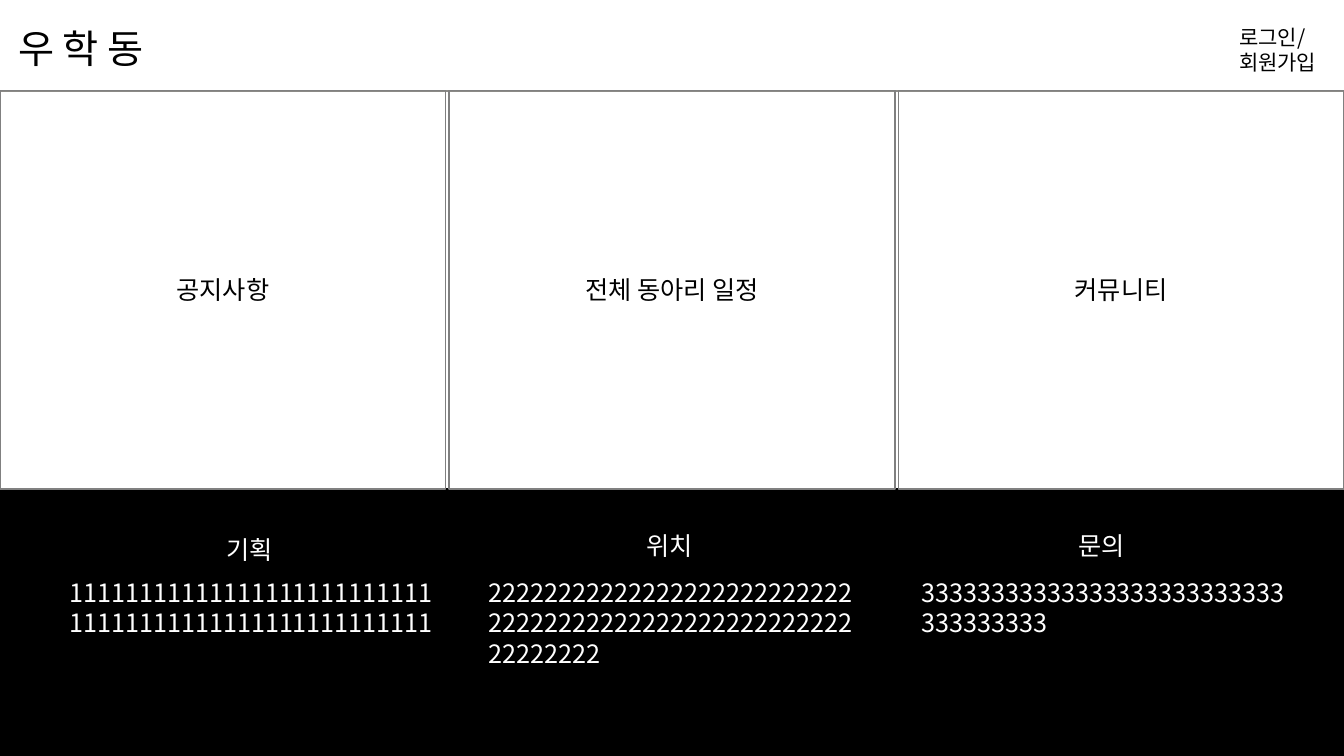
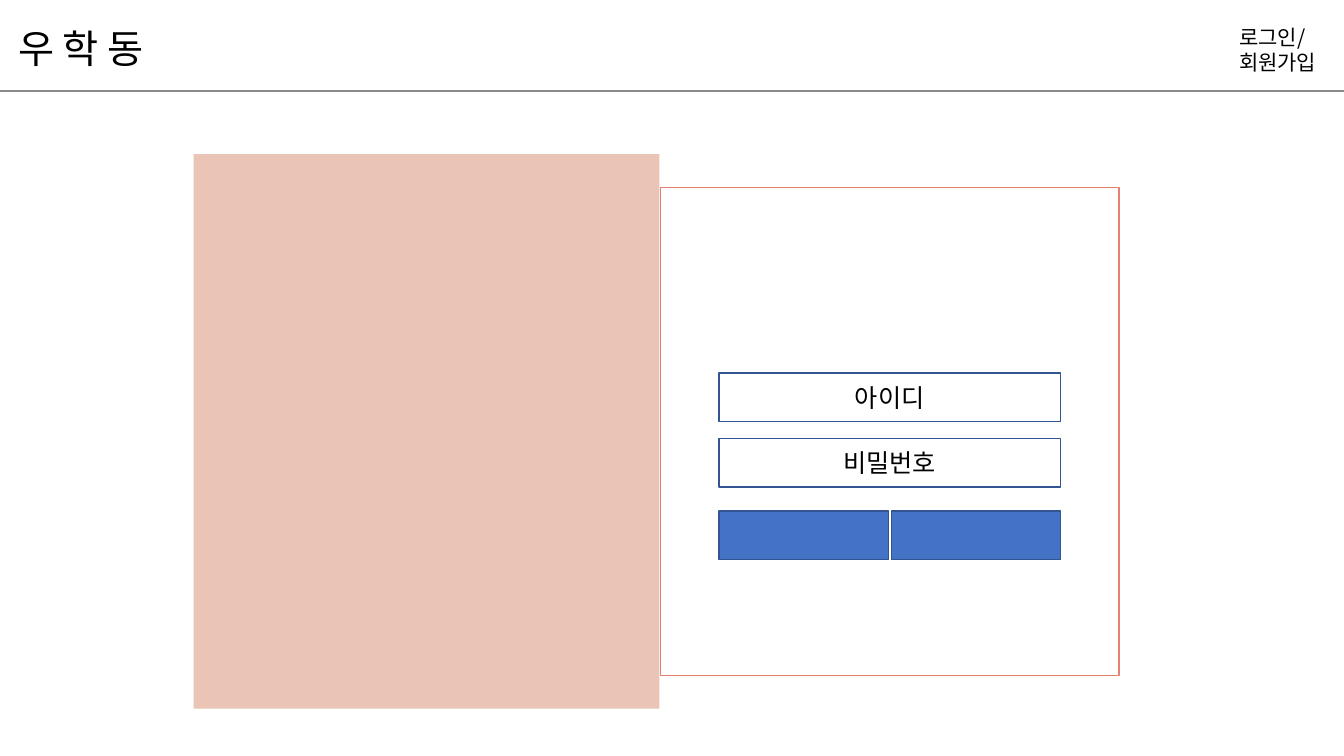
import pptx
import pptx.dml.color
import pptx.enum.shapes
import pptx.enum.text
import pptx.oxml
import pptx.oxml.ns
import pptx.util
from pptx.util import Inches

RGB = pptx.dml.color.RGBColor
ANCHOR = pptx.enum.text.MSO_ANCHOR
ALIGN = pptx.enum.text.PP_ALIGN

BLACK = RGB(0x00, 0x00, 0x00)
WHITE = RGB(0xFF, 0xFF, 0xFF)
PANEL_GREY = RGB(0x80, 0x80, 0x80)
RULE_GREY = RGB(0x8B, 0x8A, 0x86)
PEACH = RGB(0xEA, 0xC5, 0xB5)
CORAL = RGB(0xE6, 0x80, 0x73)
BLUE = RGB(0x44, 0x72, 0xC4)
NAVY = RGB(0x32, 0x54, 0x91)

FONT = "Noto Sans CJK KR"
SLIDE_W, SLIDE_H = 13.33, 7.5
HEADER_H = 0.9

SITE_NAME = "우 학 동"
ACCOUNT_LINKS = "로그인/\n회원가입"

PANELS = ["공지사항", "전체 동아리 일정", "커뮤니티"]
PANEL_W, PANEL_H = 4.42, 3.95

# heading, heading left, heading top, body, body left, body height
FOOTER_COLUMNS = [
    ("기획", 2.15, 5.25, "\n".join(["1" * 26] * 2), 0.59, 1.01),
    ("위치", 6.31, 5.21, "2" * 60, 4.75, 1.31),
    ("문의", 10.6, 5.21, "3" * 35, 9.04, 1.01),
]
FOOTER_TOP, FOOTER_H = 4.85, 2.64
FOOTER_BODY_TOP = 5.68

LOGIN_FIELDS = [("아이디", 3.7), ("비밀번호", 4.35)]
FORM_LEFT, FORM_W, FIELD_H = 7.13, 3.39, 0.48
BUTTON_TOP, BUTTON_W = 5.07, 1.68


def write(tf, text, size, color, align=ALIGN.LEFT, anchor=ANCHOR.TOP):
    tf.text = text
    tf.word_wrap = True
    tf.auto_size = pptx.enum.text.MSO_AUTO_SIZE.NONE
    tf.vertical_anchor = anchor
    for p in tf.paragraphs:
        p.alignment = align
        for r in p.runs:
            r.font.name = FONT
            r.font.size = pptx.util.Pt(size)
            r.font.color.rgb = color
            ea = pptx.oxml.parse_xml(
                f'<a:ea {pptx.oxml.ns.nsdecls("a")} typeface="{FONT}"/>')
            r.font._element.find(pptx.oxml.ns.qn("a:latin")).addnext(ea)


def add_text(s, box, text, size, color):
    write(s.shapes.add_textbox(*map(Inches, box)).text_frame, text, size, color)


def add_box(s, box, fill=None, line=None, text=""):
    sp = s.shapes.add_shape(pptx.enum.shapes.MSO_SHAPE.RECTANGLE, *map(Inches, box))
    sp.shadow.inherit = False
    if fill is None:
        sp.fill.background()
    else:
        sp.fill.solid()
        sp.fill.fore_color.rgb = fill
    if line is None:
        sp.line.fill.background()
    else:
        sp.line.color.rgb = line
        sp.line.width = pptx.util.Pt(1)
    if text:
        write(sp.text_frame, text, 18, BLACK, ALIGN.CENTER, ANCHOR.MIDDLE)


def add_page(prs):
    """Add a slide with the site name, account links and header rule."""
    s = prs.slides.add_slide(prs.slide_layouts[5])
    title = s.shapes.title
    title.left, title.top = Inches(0.08), Inches(0.19)
    title.width, title.height = Inches(1.72), Inches(0.57)
    write(title.text_frame, SITE_NAME, 28, BLACK)
    add_text(s, (12.19, 0.19, 1.15, 0.61), ACCOUNT_LINKS, 15, BLACK)
    rule = s.shapes.add_connector(
        pptx.enum.shapes.MSO_CONNECTOR.STRAIGHT,
        0, Inches(HEADER_H), Inches(SLIDE_W), Inches(HEADER_H))
    rule.line.color.rgb = RULE_GREY
    rule.line.width = pptx.util.Pt(1.5)
    rule._element.spPr.append(pptx.oxml.parse_xml(
        f'<a:effectLst {pptx.oxml.ns.nsdecls("a")}/>'))
    return s


def build_home(prs):
    s = add_page(prs)
    add_box(s, (0, FOOTER_TOP, SLIDE_W, FOOTER_H), BLACK, BLACK)
    pitch = (SLIDE_W - PANEL_W) / (len(PANELS) - 1)
    for i, label in enumerate(PANELS):
        add_box(s, (i * pitch, HEADER_H, PANEL_W, PANEL_H), line=PANEL_GREY, text=label)
    for heading, left, top, body, body_left, body_h in FOOTER_COLUMNS:
        add_text(s, (left, top, 0.71, 0.4), heading, 18, WHITE)
        add_text(s, (body_left, FOOTER_BODY_TOP, 3.83, body_h), body, 18, WHITE)


def build_login(prs):
    s = add_page(prs)
    add_box(s, (1.92, 1.53, 4.62, 5.5), PEACH)
    add_box(s, (6.55, 1.86, 4.55, 4.84), WHITE, CORAL)
    for label, top in LOGIN_FIELDS:
        add_box(s, (FORM_LEFT, top, FORM_W, FIELD_H), WHITE, NAVY, label)
    for left in (FORM_LEFT, FORM_LEFT + FORM_W - BUTTON_W):
        add_box(s, (left, BUTTON_TOP, BUTTON_W, FIELD_H), BLUE, NAVY)


def main():
    prs = pptx.Presentation()
    prs.slide_width, prs.slide_height = Inches(SLIDE_W), Inches(SLIDE_H)
    build_home(prs)
    build_login(prs)
    prs.save("out.pptx")


if __name__ == "__main__":
    main()
